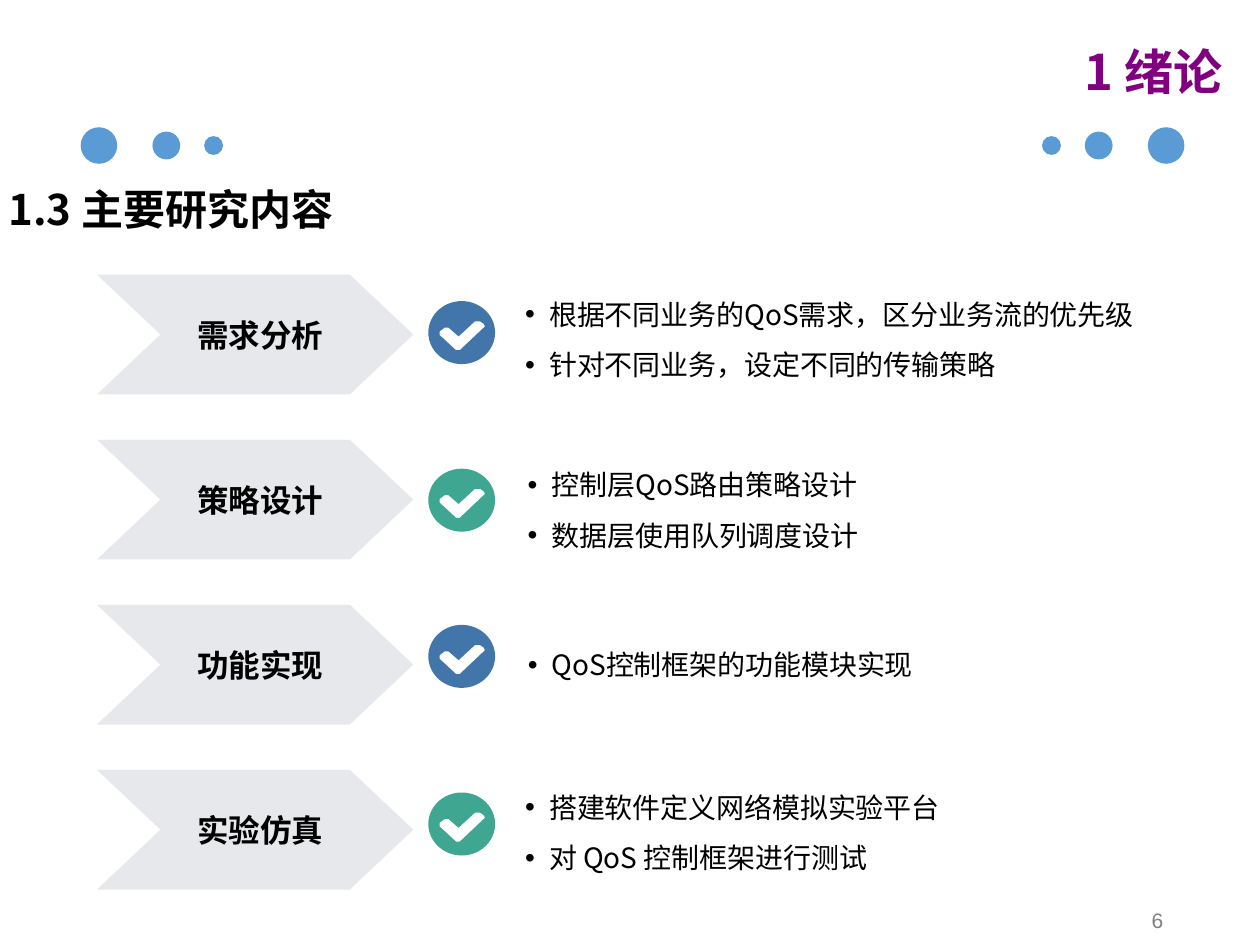
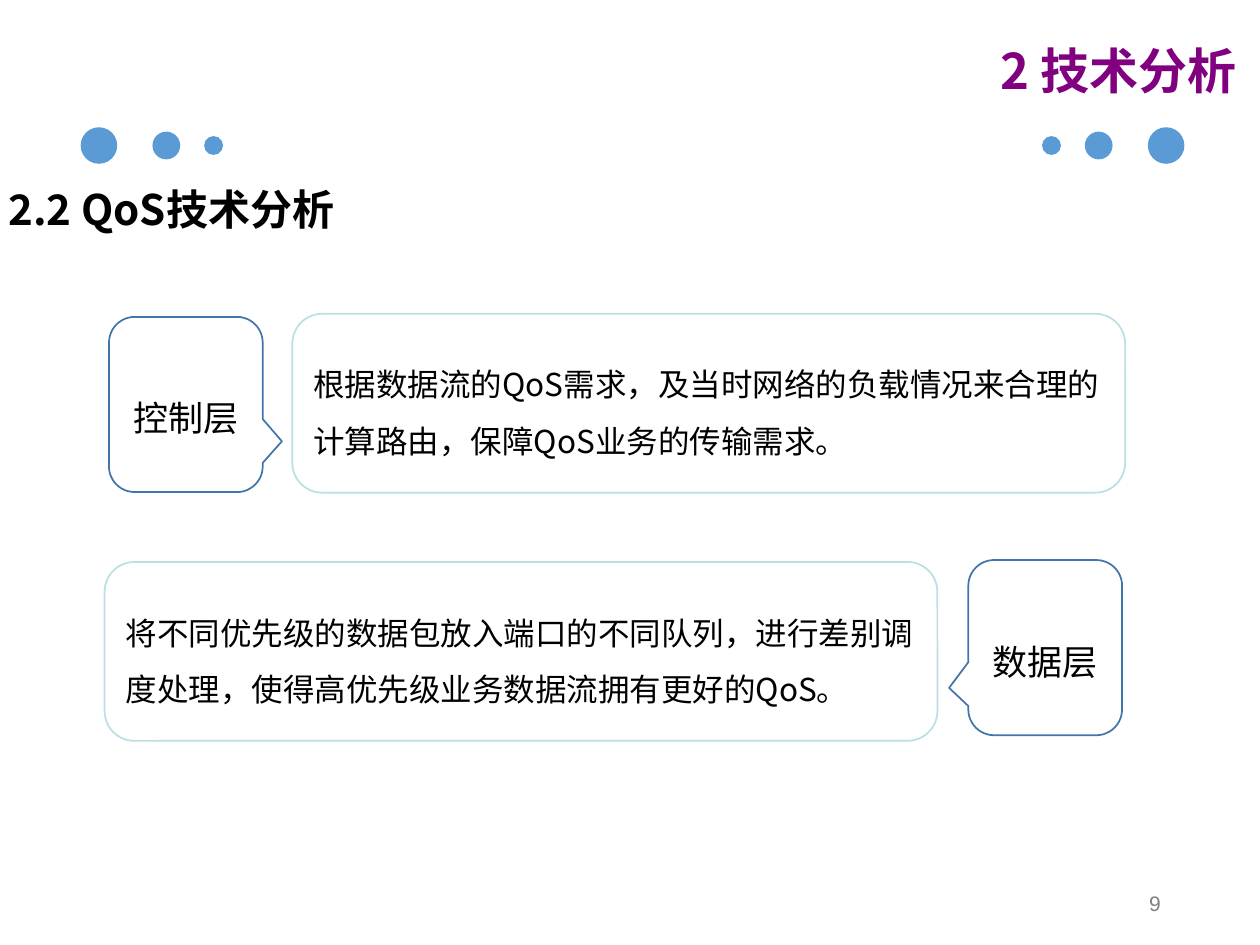
from math import cos, pi, sin

from lxml import etree
from pptx import Presentation
from pptx.dml.color import RGBColor
from pptx.enum.shapes import MSO_SHAPE
from pptx.enum.text import MSO_ANCHOR, MSO_AUTO_SIZE, PP_ALIGN
from pptx.oxml.ns import qn
from pptx.util import Inches, Pt

OVAL, CHEVRON = MSO_SHAPE.OVAL, MSO_SHAPE.CHEVRON
ROUNDED, CALLOUT = MSO_SHAPE.ROUNDED_RECTANGLE, MSO_SHAPE.ROUNDED_RECTANGULAR_CALLOUT
LEFT, CENTER, RIGHT = PP_ALIGN.LEFT, PP_ALIGN.CENTER, PP_ALIGN.RIGHT
TOP, MIDDLE = MSO_ANCHOR.TOP, MSO_ANCHOR.MIDDLE
GROW = MSO_AUTO_SIZE.SHAPE_TO_FIT_TEXT

BLACK = RGBColor(0x00, 0x00, 0x00)
WHITE = RGBColor(0xFF, 0xFF, 0xFF)
PURPLE = RGBColor(0x80, 0x00, 0x80)
GRAY = RGBColor(0x80, 0x80, 0x80)
PALE_GRAY = RGBColor(0xE4, 0xE6, 0xEA)
DOT_BLUE = RGBColor(0x5B, 0x9B, 0xD5)
BLUE = RGBColor(0x42, 0x76, 0xAA)
GREEN = RGBColor(0x3F, 0xA6, 0x92)
PALE_TEAL = RGBColor(0xBB, 0xE0, 0xE3)
SANS = "Noto Sans CJK SC"

# Content: chapter title, its box and alignment, section title, page number and its corner
RESEARCH_HEAD = dict(chapter="1 绪论", chapter_box=(8.01, 0.28, 1.79, 0.57), align=RIGHT,
                     section="1.3 主要研究内容", page="6", page_at=(7.08, 7.08))
ANALYSIS_HEAD = dict(chapter="2 技术分析", chapter_box=(7.6, 0.27, 2.55, 0.57), align=CENTER,
                     section="2.2 QoS技术分析", page="9", page_at=(7.06, 6.95))

# Stage, badge top, bullet box, bullets
STAGES = [
    ("需求分析", 2.39, (4.07, 2.18, 5.1, 0.86),
     ["根据不同业务的QoS需求，区分业务流的优先级", "针对不同业务，设定不同的传输策略"]),
    ("策略设计", 3.72, (4.09, 3.53, 2.96, 0.86),
     ["控制层QoS路由策略设计", "数据层使用队列调度设计"]),
    ("功能实现", 4.96, (4.09, 4.96, 3.45, 0.48), ["QoS控制框架的功能模块实现"]),
    ("实验仿真", 6.29, (4.07, 6.09, 3.7, 0.89),
     ["搭建软件定义网络模拟实验平台", "对 QoS 控制框架进行测试"]),
]

# Layer, label corner, callout corner, rotation, tail shift, panel corner, description
LAYERS = [
    ("控制层", (0.84, 2.93), (0.78, 2.6), 270, -0.21, (2.32, 2.49),
     "根据数据流的QoS需求，及当时网络的负载情况来合理的计算路由，保障QoS业务的传输需求。"),
    ("数据层", (7.66, 4.87), (7.6, 4.53), 90, 0.23, (0.83, 4.46),
     "将不同优先级的数据包放入端口的不同队列，进行差别调度处理，使得高优先级业务数据流拥有更好的QoS。"),
]

# Shared geometry, in inches
DOTS = [(0.785, 0.29), (1.32, 0.22), (1.695, 0.15)]  # centre, diameter
DOT_MIDDLE, DOT_MIRROR = 1.155, 10.04
SECTION_BOX = (-0.03, 1.41, 3.14, 0.51)
PAGE_SIZE, PANEL_SIZE, CALLOUT_SIZE, LABEL_SIZE = (2.25, 0.4), (6.61, 1.42), (1.39, 1.22), (1.27, 0.55)
STAGE_LEFT, STAGE_TOP, STAGE_PITCH, STAGE_SIZE = 0.77, 2.18, 1.31, (2.51, 0.95)
BADGE_LEFT, BADGE_SIZE = 3.4, (0.53, 0.5)
CHECK = [(0.44, 0.18), (0.41, 0.16), (0.37, 0.16), (0.24, 0.28), (0.16, 0.21), (0.13, 0.21),
         (0.09, 0.24), (0.09, 0.27), (0.22, 0.39), (0.25, 0.39), (0.44, 0.21), (0.45, 0.2)]
CIRCLE_STEPS = 60


def inches(values):
    return [Inches(value) for value in values]


def write(shape, lines, size, color=BLACK, bold=False, font=SANS, align=LEFT,
          anchor=TOP, spacing=1.0, bullet=False):
    frame = shape.text_frame
    frame.word_wrap = True
    frame.vertical_anchor = anchor
    for index, line in enumerate(lines):
        paragraph = frame.add_paragraph() if index else frame.paragraphs[0]
        paragraph.alignment, paragraph.line_spacing = align, spacing
        if bullet:
            properties = paragraph._p.get_or_add_pPr()
            properties.set("marL", str(Inches(0.19)))
            properties.set("indent", str(-Inches(0.19)))
            etree.SubElement(properties, qn("a:buFont")).set("typeface", "Arial")
            etree.SubElement(properties, qn("a:buChar")).set("char", "•")
        run = paragraph.add_run()
        run.text = line
        for name, value in dict(size=Pt(size), bold=bold, name=font).items():
            setattr(run.font, name, value)
        run.font.color.rgb = color
        latin = run._r.rPr.find(qn("a:latin"))
        east_asian = etree.Element(qn("a:ea"))
        east_asian.set("typeface", font)
        latin.addnext(east_asian)


def add_text(slide, box, lines, size, grow=False, **style):
    shape = slide.shapes.add_textbox(*inches(box))
    write(shape, lines, size, **style)
    if grow:
        shape.text_frame.auto_size = GROW


def paint(shape, fill, line=None):
    shape.shadow.inherit = False
    shape.fill.solid()
    shape.fill.fore_color.rgb = fill
    if line is None:
        shape.line.fill.background()
    else:
        shape.line.color.rgb = line
        shape.line.width = Pt(1)


def add_shape(slide, kind, box, fill, line=None):
    shape = slide.shapes.add_shape(kind, *inches(box))
    paint(shape, fill, line)
    return shape


def add_badge(slide, top, color):
    """Disc with a check mark cut out of it."""
    width, height = BADGE_SIZE
    angles = [2 * pi * step / CIRCLE_STEPS for step in range(CIRCLE_STEPS)]
    disc = [(width / 2 * (1 + cos(angle)), height / 2 * (1 + sin(angle))) for angle in angles]
    disc, check = [[inches((BADGE_LEFT + x, top + y)) for x, y in outline]
                   for outline in (disc, CHECK)]
    builder = slide.shapes.build_freeform(*disc[0])
    builder.add_line_segments(disc[1:], close=True)
    builder.move_to(*check[0])
    builder.add_line_segments(check[1:], close=True)
    paint(builder.convert_to_shape(), color)


def start_slide(presentation, head):
    slide = presentation.slides.add_slide(presentation.slide_layouts[6])
    for center, diameter in DOTS:
        for middle in (center, DOT_MIRROR - center):
            add_shape(slide, OVAL, (middle - diameter / 2, DOT_MIDDLE - diameter / 2,
                                    diameter, diameter), DOT_BLUE)
    add_text(slide, head["chapter_box"], [head["chapter"]], 28, grow=True,
             color=PURPLE, bold=True, align=head["align"])
    add_text(slide, SECTION_BOX, [head["section"]], 24, grow=True, bold=True)
    add_text(slide, head["page_at"] + PAGE_SIZE, [head["page"]], 12, color=GRAY,
             font="Arial", align=RIGHT, anchor=MIDDLE, spacing=1.2)
    return slide


def build_research_slide(presentation):
    slide = start_slide(presentation, RESEARCH_HEAD)
    for row, (stage, badge_top, box, bullets) in enumerate(STAGES):
        arrow = add_shape(slide, CHEVRON, (STAGE_LEFT, STAGE_TOP + row * STAGE_PITCH) + STAGE_SIZE,
                          PALE_GRAY)
        arrow.adjustments[0] = 0.53
        color = arrow._element.spPr.find(qn("a:solidFill"))[0]
        etree.SubElement(color, qn("a:alpha")).set("val", "90000")
        write(arrow, [stage], 18, bold=True, align=CENTER, anchor=MIDDLE)
        arrow.text_frame.margin_left, arrow.text_frame.margin_right = Inches(0.08), 0
        add_badge(slide, badge_top, GREEN if row % 2 else BLUE)
        add_text(slide, box, bullets, 16, spacing=1.5, bullet=True)


def build_analysis_slide(presentation):
    slide = start_slide(presentation, ANALYSIS_HEAD)
    for layer, label_at, callout_at, rotation, tail, panel_at, description in LAYERS:
        panel = add_shape(slide, ROUNDED, panel_at + PANEL_SIZE, WHITE, PALE_TEAL)
        write(panel, [description], 18, anchor=MIDDLE, spacing=1.5)
        callout = add_shape(slide, CALLOUT, callout_at + CALLOUT_SIZE, WHITE, BLUE)
        callout.rotation = rotation
        for index, value in enumerate((tail, 0.625, 0.167)):
            callout.adjustments[index] = value
        add_text(slide, label_at + LABEL_SIZE, [layer], 20, grow=True, align=CENTER, spacing=1.5)


def main():
    presentation = Presentation()
    presentation.slide_width, presentation.slide_height = inches((10, 7.5))
    build_research_slide(presentation)
    build_analysis_slide(presentation)
    presentation.save("out.pptx")


if __name__ == "__main__":
    main()
